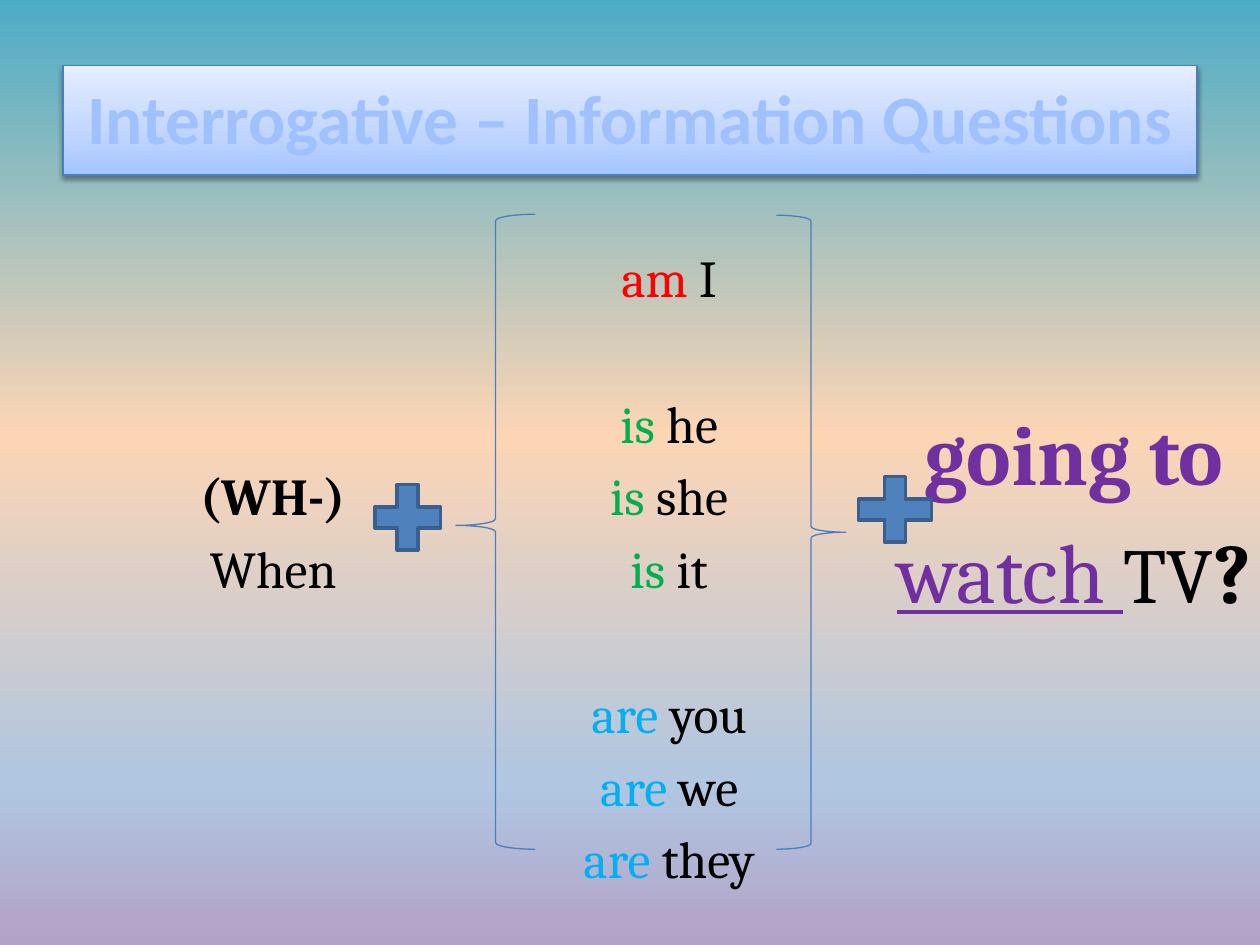
"""Build a grammar slide on information questions with "going to"."""
from lxml import etree
from pptx import Presentation
from pptx.dml.color import RGBColor
from pptx.enum.shapes import MSO_SHAPE
from pptx.enum.text import MSO_ANCHOR, PP_ALIGN
from pptx.oxml.ns import qn
from pptx.util import Cm, Pt

RECT, PLUS = MSO_SHAPE.RECTANGLE, MSO_SHAPE.MATH_PLUS
LEFT, RIGHT = MSO_SHAPE.LEFT_BRACE, MSO_SHAPE.RIGHT_BRACE
MIDDLE, CENTER = MSO_ANCHOR.MIDDLE, PP_ALIGN.CENTER

THEME = {
    "head": "Calibri", "body": "Cambria",
    "title": 39.6, "text": 29.6, "verb": 48.1, "noun": 44.4,
    "pale": "A0C1FF", "black": "000000", "red": "FF0000", "green": "00B050",
    "sky": "00B0F0", "purple": "7030A0",
    "line": "4B7EBC", "plus": "4F81BD", "edge": "3A5F8C",
    "back": [(0, "4BACC6"), (46, "FCD5B5"), (83, "B0C6E1"), (100, "B3A2C7")],
    "bar": [(0, "A4C4FF"), (35, "BFD4FF"), (100, "E6EEFF")],
}


def shade(fill, root, stops, angle):
    """Give a fill its gradient stops and clockwise angle."""
    fill.gradient()
    grad = next(root.iter(qn("a:gradFill")))
    grad.find(qn("a:lin")).set("ang", str(angle * 60000))
    items = grad.find(qn("a:gsLst"))
    for old in list(items):
        items.remove(old)
    for place, color in stops:
        stop = etree.SubElement(items, qn("a:gs"), pos=str(place * 1000))
        etree.SubElement(stop, qn("a:srgbClr"), val=color)


def write(box, lines, font, pitch=None):
    """Write centred lines of (text, color, size, bold, underline) runs."""
    frame = box.text_frame
    frame.word_wrap = True
    frame.margin_left = frame.margin_right = 0
    frame.margin_top = frame.margin_bottom = 0
    for i, (gap, runs) in enumerate(lines):
        para = frame.paragraphs[0] if i == 0 else frame.add_paragraph()
        para.alignment = CENTER
        para.space_before = Pt(gap)
        if pitch:
            para.line_spacing = Pt(pitch)
        for text, color, size, bold, under in runs:
            run = para.add_run()
            run.text = text
            run.font.name = font
            run.font.size = Pt(THEME[size])
            run.font.bold = bold
            run.font.underline = under
            run.font.color.rgb = RGBColor.from_string(THEME[color])


deck = Presentation()
deck.slide_width, deck.slide_height = Cm(25.4), Cm(19.05)
slide = deck.slides.add_slide(deck.slide_layouts[6])
shapes = slide.shapes
shade(slide.background.fill, slide.element, THEME["back"], 90)

bar = shapes.add_shape(RECT, Cm(1.27), Cm(1.32), Cm(22.86), Cm(2.21))
shade(bar.fill, bar.element, THEME["bar"], 270)
bar.line.color.rgb = RGBColor.from_string(THEME["line"])
bar.line.width = Pt(0.75)
bar.shadow.inherit = False
effects = next(bar.element.iter(qn("a:effectLst")))
shadow = etree.SubElement(effects, qn("a:outerShdw"), blurRad="39370",
                          dist="20320", dir="5400000", rotWithShape="0")
tint = etree.SubElement(shadow, qn("a:srgbClr"), val=THEME["black"])
etree.SubElement(tint, qn("a:alpha"), val="38000")

title = shapes.add_textbox(Cm(1.27), Cm(0.76), Cm(22.86), Cm(3.18))
title.text_frame.vertical_anchor = MIDDLE
write(title, [(0, [("Interrogative – Information Questions",
                    "pale", "title", True, False)])], THEME["head"])

pitch = 41.5
ask = [(0, [("(WH-)", "black", "text", True, False)]),
       (0, [("When", "black", "text", False, False)])]
forms = []
for verb, color, names in [("am", "red", ["I"]),
                           ("is", "green", ["he", "she", "it"]),
                           ("are", "sky", ["you", "we", "they"])]:
    for i, name in enumerate(names):
        gap = pitch if forms and i == 0 else 0
        forms.append((gap, [(verb, color, "text", False, False),
                            (" " + name, "black", "text", False, False)]))
plan = [(0, [(" going to", "purple", "verb", True, False)]),
        (0, [(" ", "purple", "verb", False, False),
             ("watch ", "purple", "verb", False, True),
             ("TV", "black", "noun", False, False),
             ("?", "black", "verb", True, False)])]

wide = 7.98
for i, (lines, top, high, step) in enumerate([(ask, 9.14, 3, pitch),
                                              (forms, 4.75, 13.3, pitch),
                                              (plan, 7.75, 4.8, 67.4)]):
    box = shapes.add_textbox(Cm(1.52 + i * wide), Cm(top), Cm(wide), Cm(high))
    write(box, lines, THEME["body"], step)

for kind, x, y, w, h in [(RIGHT, 15.65, 4.34, 1.4, 12.78),
                         (LEFT, 9.19, 4.32, 1.6, 12.8),
                         (PLUS, 7.32, 9.53, 1.8, 1.8),
                         (PLUS, 17.04, 9.37, 2.01, 1.8)]:
    mark = shapes.add_shape(kind, Cm(x), Cm(y), Cm(w), Cm(h))
    mark.shadow.inherit = False
    if kind == PLUS:
        mark.fill.solid()
        mark.fill.fore_color.rgb = RGBColor.from_string(THEME["plus"])
    else:
        mark.fill.background()
    if kind == LEFT:
        mark.adjustments[1] = 0.49
    edge, width = ("edge", 2) if kind == PLUS else ("line", 0.75)
    mark.line.color.rgb = RGBColor.from_string(THEME[edge])
    mark.line.width = Pt(width)

deck.save("out.pptx")
